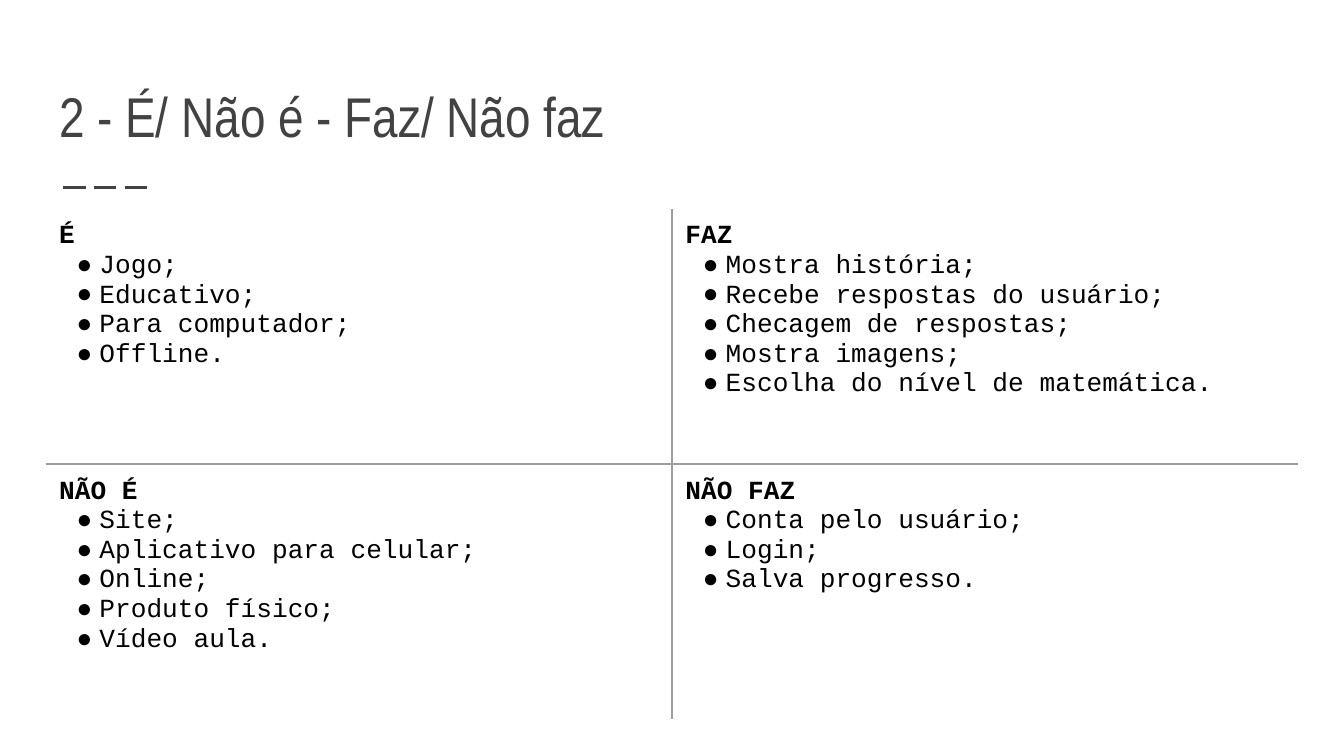
from pptx import Presentation
from pptx.dml.color import RGBColor
from pptx.enum.dml import MSO_LINE
from pptx.enum.shapes import MSO_CONNECTOR as CONN
from pptx.enum.text import MSO_ANCHOR as ANCHOR, MSO_AUTO_SIZE as AUTO, PP_ALIGN as ALIGN
from pptx.oxml import parse_xml
from pptx.oxml.ns import nsdecls
from pptx.util import Pt

NS = nsdecls("a")
INSETS = dict.fromkeys(["margin_left", "margin_top", "margin_right", "margin_bottom"], Pt(7.2))


def rgb(value):
    return RGBColor.from_string(value)


def add_run(p, text, font, size, color, bold=False):
    r = p.add_run()
    r.text = text
    for name, value in {"name": font, "size": Pt(size), "bold": bold}.items():
        setattr(r.font, name, value)
    r.font.color.rgb = rgb(color)


prs = Presentation()
prs.slide_width, prs.slide_height = Pt(720), Pt(405)
s = prs.slides.add_slide(prs.slide_layouts[5])

rule = s.shapes.add_connector(CONN.STRAIGHT, Pt(33.8), Pt(100.3), Pt(82), Pt(100.3))
rule.line.width = Pt(1.5)
rule.line.color.rgb = rgb("424242")
rule.line.dash_style = MSO_LINE.LONG_DASH
rule._element.spPr.append(parse_xml(f"<a:effectLst {NS}/>"))

title = s.shapes.title
for name, value in {"left": 24.5, "top": 29.5, "width": 671, "height": 57.6}.items():
    setattr(title, name, Pt(value))
tf = title.text_frame
frame_format = {"word_wrap": True, "auto_size": AUTO.NONE, "vertical_anchor": ANCHOR.BOTTOM}
for name, value in (INSETS | frame_format).items():
    setattr(tf, name, value)
p = tf.paragraphs[0]
p.alignment = ALIGN.LEFT
add_run(p, "2 - É/ Não é - Faz/ Não faz", "Arial Narrow", 30, "424242")

quadrants = [
    [
        ("É", ["Jogo;", "Educativo;", "Para computador;", "Offline."]),
        ("FAZ", ["Mostra história;", "Recebe respostas do usuário;", "Checagem de respostas;",
                 "Mostra imagens;", "Escolha do nível de matemática."]),
    ],
    [
        ("NÃO É", ["Site;", "Aplicativo para celular;", "Online;", "Produto físico;", "Vídeo aula."]),
        ("NÃO FAZ", ["Conta pelo usuário;", "Login;", "Salva progresso."]),
    ],
]

table = s.shapes.add_table(2, 2, Pt(24.5), Pt(111.8), Pt(671), Pt(273.6)).table
table.first_row = table.horz_banding = False

for row, cells in enumerate(quadrants):
    for col, (heading, items) in enumerate(cells):
        cell = table.cell(row, col)
        for name, value in (INSETS | {"vertical_anchor": ANCHOR.TOP}).items():
            setattr(cell, name, value)
        cell.fill.background()
        inner = {"R" if col == 0 else "L", "B" if row == 0 else "T"}
        tcPr = cell._tc.get_or_add_tcPr()
        for i, side in enumerate("LRTB"):
            fill = '<a:solidFill><a:srgbClr val="9E9E9E"/></a:solidFill>' if side in inner else "<a:noFill/>"
            tcPr.insert(i, parse_xml(f'<a:ln{side} {NS} w="{Pt(1.5)}">{fill}</a:ln{side}>'))

        tf = cell.text_frame
        add_run(tf.paragraphs[0], heading, "Courier New", 14, "000000", True)
        for item in items:
            p = tf.add_paragraph()
            add_run(p, item, "Courier New", 14, "000000")
            pPr = p._p.get_or_add_pPr()
            pPr.set("marL", str(Pt(21.6)))
            pPr.set("indent", str(-Pt(12.2)))
            for bullet in ('buClr {}><a:srgbClr val="000000"/></a:buClr>',
                           'buFont {} typeface="Courier New"/>',
                           'buChar {} char="●"/>'):
                pPr.append(parse_xml("<a:" + bullet.format(NS)))

prs.save("out.pptx")
